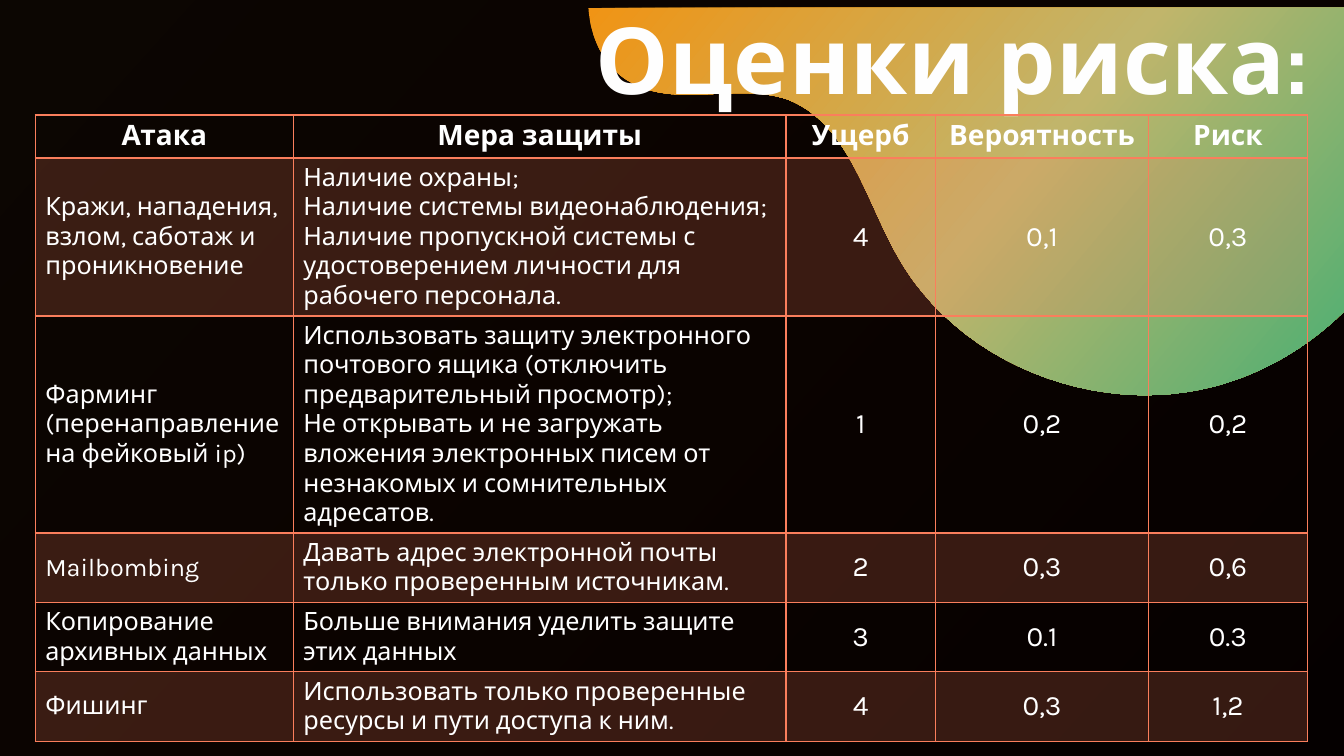
"""Builds the risk assessment slide with its table of attacks."""
from lxml.etree import SubElement
from pptx import Presentation
from pptx.dml.color import RGBColor
from pptx.enum.shapes import MSO_SHAPE as Preset
from pptx.enum.text import MSO_ANCHOR as Anchor, PP_ALIGN as Align
from pptx.oxml import parse_xml
from pptx.oxml.ns import nsdecls, qn
from pptx.util import Cm, Pt

BLACK = RGBColor(0x00, 0x00, 0x00)
WHITE = RGBColor(0xFF, 0xFF, 0xFF)
TITLE_WHITE = RGBColor(0xFE, 0xFE, 0xFE)
CORAL = RGBColor(0xFA, 0x7E, 0x5C)
ORANGE = RGBColor(0xF0, 0x94, 0x15)
SAND = RGBColor(0xC1, 0xB5, 0x6B)
GREEN = RGBColor(0x4B, 0xAF, 0x73)
FLAME = RGBColor(0xF1, 0x80, 0x31)
RUST = RGBColor(0xD5, 0x42, 0x09)
MAROON = RGBColor(0x6A, 0x0D, 0x00)


def paint_gradient(fill, holder, angle, stops):
    fill.gradient()
    fill.gradient_angle = 360 - angle
    stop_list = holder.xpath(".//a:gsLst")[0]
    for old_stop in list(stop_list):
        stop_list.remove(old_stop)
    for percent, color in stops:
        stop = SubElement(stop_list, qn("a:gs"), pos=str(percent * 1000))
        SubElement(stop, qn("a:srgbClr"), val=str(color))


def paint_transparent(fill, holder, color, percent):
    fill.solid()
    fill.fore_color.rgb = color
    tint = holder.xpath("./a:solidFill/a:srgbClr")[0]
    SubElement(tint, qn("a:alpha"), val=str(percent * 1000))


deck = Presentation()
deck.slide_width, deck.slide_height = Cm(33.87), Cm(19.05)
page = deck.slides.add_slide(deck.slide_layouts[5])
paint_gradient(page.background.fill, page.element, 42,
               [(0, FLAME), (50, RUST), (100, MAROON)])

veil = page.shapes.add_shape(Preset.RECTANGLE, 0, 0, deck.slide_width, deck.slide_height)
veil.shadow.inherit = False
veil.line.fill.background()
paint_transparent(veil.fill, veil.element.spPr, BLACK, 95)

blob_start = (14.83, 0.2)
blob_curves = [
    [(14.88, 0.94), (15.21, 1.65), (15.82, 2.03)],
    [(16.99, 2.77), (18.57, 2.06), (19.86, 2.51)],
    [(21.36, 3.1), (21.79, 4.95), (22.58, 6.38)],
    [(24.08, 9.14), (27.61, 10.54), (30.63, 9.73)],
    [(31.85, 9.4), (32.97, 8.74), (33.87, 7.85)],
]
STEPS = 24
outline = []
anchor = blob_start
for pull_out, pull_in, end in blob_curves:
    for step in range(1, STEPS + 1):
        t = step / STEPS
        weights = ((1 - t) ** 3, 3 * t * (1 - t) ** 2, 3 * t ** 2 * (1 - t), t ** 3)
        knots = (anchor, pull_out, pull_in, end)
        outline.append(tuple(Cm(sum(w * knot[axis] for w, knot in zip(weights, knots)))
                             for axis in (0, 1)))
    anchor = end
outline.append((Cm(33.87), Cm(0.2)))
builder = page.shapes.build_freeform(Cm(blob_start[0]), Cm(blob_start[1]))
builder.add_line_segments(outline, close=True)
blob = builder.convert_to_shape()
blob.shadow.inherit = False
blob.line.fill.background()
paint_gradient(blob.fill, blob.element.spPr, 40, [(0, ORANGE), (53, SAND), (100, GREEN)])

title = page.shapes.title
title.element.getparent().append(title.element)
title.left, title.top, title.width, title.height = Cm(3.35), Cm(0.2), Cm(29.87), Cm(2.51)
title.text_frame.text = "Оценки риска:"
title.text_frame.vertical_anchor = Anchor.MIDDLE
para = title.text_frame.paragraphs[0]
para.alignment = Align.RIGHT
span = para.runs[0]
span.font.name, span.font.size, span.font.bold = "Cabin", Pt(66), True
span.font.color.rgb = TITLE_WHITE
props = span.font._element
props.set("spc", "50")
props.insert(0, parse_xml(
    f'<a:ln {nsdecls("a")} w="9525"><a:solidFill><a:srgbClr val="{ORANGE}"/></a:solidFill></a:ln>'))
props.insert(2, parse_xml(
    f'<a:effectLst {nsdecls("a")}><a:outerShdw blurRad="38100" dist="38100" dir="2700000">'
    f'<a:srgbClr val="{ORANGE}"/></a:outerShdw></a:effectLst>'))

rows = [
    ("Атака", "Мера защиты", "Ущерб", "Вероятность", "Риск"),
    ("Кражи, нападения, взлом, саботаж и проникновение",
     "Наличие охраны;\nНаличие системы видеонаблюдения;\n"
     "Наличие пропускной системы с удостоверением личности для рабочего персонала.",
     "4", "0,1", "0,3"),
    ("Фарминг (перенаправление на фейковый ip)",
     "Использовать защиту электронного почтового ящика (отключить предварительный просмотр);\n"
     "Не открывать и не загружать вложения электронных писем от незнакомых "
     "и сомнительных адресатов.",
     "1", "0,2", "0,2"),
    ("Mailbombing", "Давать адрес электронной почты только проверенным источникам.",
     "2", "0,3", "0,6"),
    ("Копирование архивных данных", "Больше внимания уделить защите этих данных",
     "3", "0.1", "0.3"),
    ("Фишинг", "Использовать только проверенные ресурсы и пути доступа к ним.",
     "4", "0,3", "1,2"),
]
widths = [6.5, 12.42, 3.76, 5.38, 3.99]
heights = [1.08, 3.98, 5.47, 1.74, 1.74, 1.76]
table = page.shapes.add_table(len(rows), len(widths), Cm(0.89), Cm(2.9),
                              Cm(sum(widths)), Cm(sum(heights))).table
for column, width in zip(table.columns, widths):
    column.width = Cm(width)
for row, height in zip(table.rows, heights):
    row.height = Cm(height)

for r, texts in enumerate(rows):
    for c, text in enumerate(texts):
        cell = table.cell(r, c)
        cell.text_frame.text = text
        cell.vertical_anchor = Anchor.MIDDLE if r else Anchor.TOP
        centred = r == 0 or c > 1
        for para in cell.text_frame.paragraphs:
            para.alignment = Align.CENTER if centred else Align.LEFT
            font = para.runs[0].font
            font.name, font.size, font.bold = "Karla", Pt(20 if centred else 18), r == 0
            font.color.rgb = WHITE
        cell_props = cell._tc.get_or_add_tcPr()
        if r % 2:
            paint_transparent(cell.fill, cell_props, CORAL, 20)
        else:
            cell.fill.background()
        for place, side in enumerate(("lnL", "lnR", "lnT", "lnB")):
            weight = Pt(2) if r == 0 and side == "lnB" else Pt(1)
            cell_props.insert(place, parse_xml(
                f'<a:{side} {nsdecls("a")} w="{weight}"><a:solidFill>'
                f'<a:srgbClr val="{CORAL}"/></a:solidFill></a:{side}>'))

deck.save("out.pptx")
